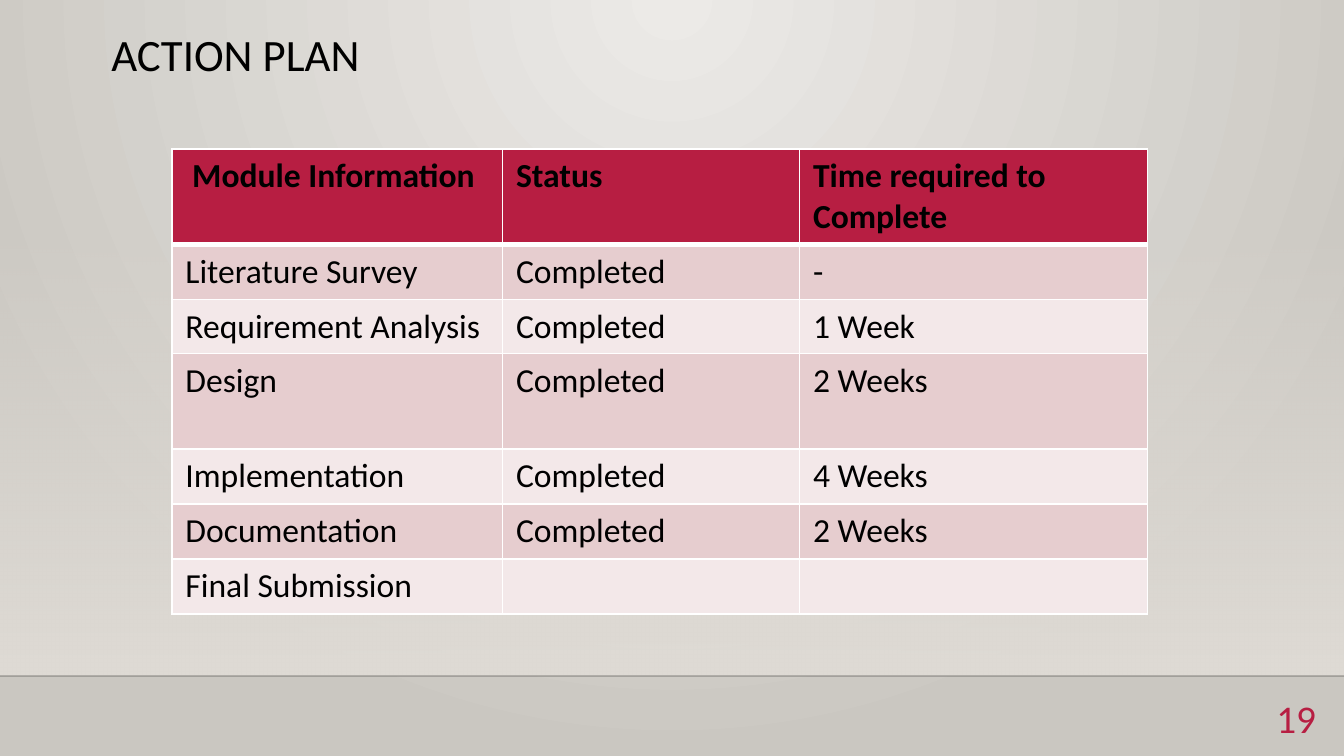
"""Build the action plan slide with its module status table."""
from lxml.etree import SubElement
from pptx import Presentation
from pptx.dml.color import RGBColor
from pptx.enum.shapes import MSO_CONNECTOR as Connector, MSO_SHAPE as Shape
from pptx.enum.text import MSO_ANCHOR as Anchor, PP_ALIGN as Align
from pptx.oxml.ns import qn
from pptx.util import Inches, Pt

BLACK = RGBColor(0x00, 0x00, 0x00)
WHITE = RGBColor(0xFF, 0xFF, 0xFF)
CRIMSON = RGBColor(0xB7, 0x1E, 0x42)
ROSE = RGBColor(0xE6, 0xCD, 0xCF)
PALE_ROSE = RGBColor(0xF3, 0xE8, 0xE9)
LIGHT_GREY = RGBColor(0xEC, 0xEA, 0xE7)
DARK_GREY = RGBColor(0xCA, 0xC7, 0xC1)
SAND = RGBColor(0xDF, 0xDB, 0xD5)
FONT = "Calibri"

TITLE = "ACTION PLAN"
PAGE_NUMBER = "19"
ROWS = [
    ("Module Information ", "Status", "Time required to Complete"),
    ("Literature Survey", "Completed", "-"),
    ("Requirement Analysis", "Completed", "1 Week"),
    ("Design", "Completed", "2 Weeks"),
    ("Implementation", "Completed", "4 Weeks"),
    ("Documentation", "Completed", "2 Weeks"),
    ("Final Submission", "", ""),
]
COLUMN_WIDTHS = [2.46, 2.21, 2.59]
ROW_HEIGHTS = [0.71, 0.41, 0.4, 0.71, 0.41, 0.41, 0.41]
SLIDE_WIDTH = 10
SLIDE_HEIGHT = SLIDE_WIDTH * 9 / 16
WALL_TOP = 1.66
FLOOR_TOP = 5.03


def set_gradient(fill, colors):
    fill.gradient()
    for stop, color in zip(fill.gradient_stops, colors):
        stop.color.rgb = color


def set_alpha(color_element, percent):
    SubElement(color_element, qn("a:alpha"), val=str(percent * 1000))


def style_text(paragraph, size, color, bold=False):
    for font in [paragraph.font, *(run.font for run in paragraph.runs)]:
        font.name, font.size, font.bold = FONT, Pt(size), bold
        font.color.rgb = color


def add_text(slide, box, text, size, color):
    frame = slide.shapes.add_textbox(*map(Inches, box)).text_frame
    frame.word_wrap = True
    frame.margin_left = frame.margin_right = Inches(0.1)
    frame.margin_top = frame.margin_bottom = Inches(0.1)
    frame.text = text
    style_text(frame.paragraphs[0], size, color)
    return frame


def set_borders(cell, bottom_width, top_width):
    properties = cell._tc.get_or_add_tcPr()
    widths = {"L": 1, "R": 1, "T": top_width, "B": bottom_width}
    for position, (side, width) in enumerate(widths.items()):
        line = SubElement(properties, qn(f"a:ln{side}"), w=str(Pt(width)))
        fill = SubElement(line, qn("a:solidFill"))
        SubElement(fill, qn("a:srgbClr"), val=str(WHITE))
        properties.insert(position, line)


def add_background(slide):
    set_gradient(slide.background.fill, [LIGHT_GREY, DARK_GREY])
    gradient = slide.element.find(".//" + qn("a:gradFill"))
    gradient.remove(gradient.find(qn("a:lin")))
    circle = SubElement(gradient, qn("a:path"), path="circle")
    SubElement(circle, qn("a:fillToRect"), l="43000", t="0", r="43000", b="100000")

    wall = slide.shapes.add_shape(
        Shape.RECTANGLE, 0, Inches(WALL_TOP),
        Inches(SLIDE_WIDTH), Inches(FLOOR_TOP - WALL_TOP))
    wall.shadow.inherit = False
    wall.line.fill.background()
    set_gradient(wall.fill, [SAND, SAND])
    wall.fill.gradient_angle = 270
    set_alpha(wall.element.find(".//" + qn("a:srgbClr")), 0)

    edge = slide.shapes.add_connector(
        Connector.STRAIGHT, 0, Inches(FLOOR_TOP), Inches(SLIDE_WIDTH), Inches(FLOOR_TOP))
    edge.line.width = Pt(1)
    edge.line.color.rgb = BLACK
    set_alpha(edge.element.find(".//" + qn("a:srgbClr")), 20)
    SubElement(edge.element.spPr, qn("a:effectLst"))


def add_plan_table(slide):
    table = slide.shapes.add_table(
        len(ROWS), len(COLUMN_WIDTHS), Inches(1.28), Inches(1.11),
        Inches(sum(COLUMN_WIDTHS)), Inches(sum(ROW_HEIGHTS))).table
    for column, width in zip(table.columns, COLUMN_WIDTHS):
        column.width = Inches(width)
    for index, (row, height, texts) in enumerate(zip(table.rows, ROW_HEIGHTS, ROWS)):
        row.height = Inches(height)
        header = index == 0
        for cell, text in zip(row.cells, texts):
            cell.text = text
            style_text(cell.text_frame.paragraphs[0], 18, BLACK, header)
            cell.fill.solid()
            cell.fill.fore_color.rgb = CRIMSON if header else ROSE if index % 2 else PALE_ROSE
            set_borders(cell, 3 if header else 1, 3 if index == 1 else 1)
    table.cell(0, 0).text_frame.paragraphs[0].alignment = Align.CENTER


def main():
    presentation = Presentation()
    presentation.slide_width = Inches(SLIDE_WIDTH)
    presentation.slide_height = Inches(SLIDE_HEIGHT)
    slide = presentation.slides.add_slide(presentation.slide_layouts[6])
    add_background(slide)
    title = add_text(slide, (0.73, 0.14, 2.44, 0.69), TITLE, 24, BLACK)
    title.paragraphs[0].line_spacing = 0.9
    number = add_text(slide, (9.29, 5.13, 0.6, 0.43), PAGE_NUMBER, 21, CRIMSON)
    number.vertical_anchor = Anchor.MIDDLE
    number.paragraphs[0].alignment = Align.RIGHT
    add_plan_table(slide)
    presentation.save("out.pptx")


if __name__ == "__main__":
    main()
